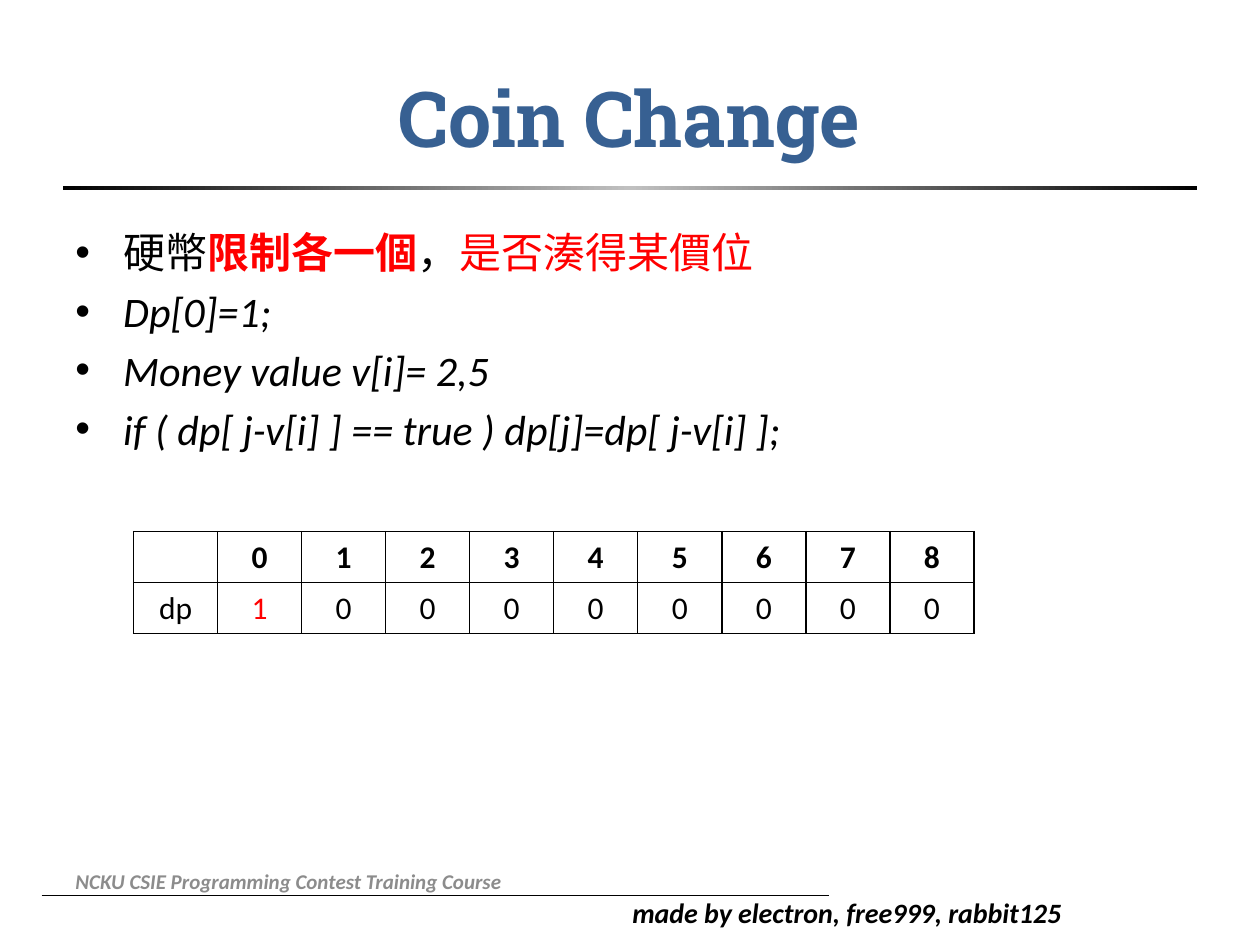
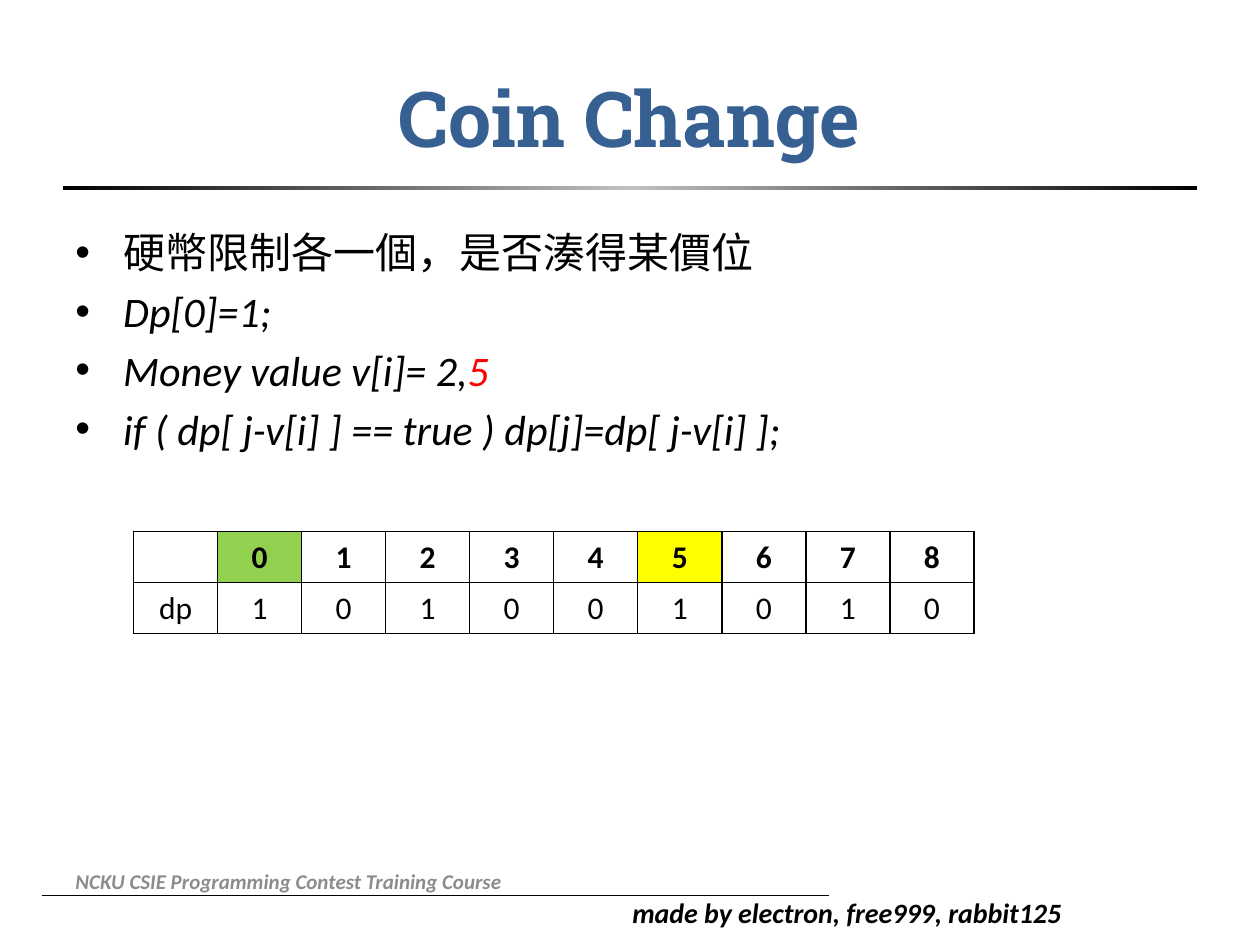
from copy import deepcopy

from lxml import etree
from pptx import Presentation
from pptx.dml.color import RGBColor
from pptx.enum import shapes, text
from pptx.oxml import ns
from pptx.util import Inches, Pt

COLORS = {
    "black": "000000",
    "silver": "C0C0C0",
    "title": "376092",
    "footer": "8C8C8C",
    "red": "FF0000",
    "green": "92D050",
    "yellow": "FFFF00",
}
BODY_FONT = "Calibri"
TITLE_FONT = "Roboto Slab"
COLUMNS = 10
CELL_WIDTH = 0.667
ROW_HEIGHT = 0.405


def rgb(name):
    return RGBColor.from_string(COLORS[name])


def style(font, size, color="black", bold=False, italic=False, name=BODY_FONT):
    font.name = name
    font.size = Pt(size)
    font.bold = bold
    font.italic = italic
    font.color.rgb = rgb(color)


def add_text_box(slide, left, top, width, height, anchor=text.MSO_ANCHOR.TOP):
    box = slide.shapes.add_textbox(Inches(left), Inches(top), Inches(width), Inches(height))
    box.text_frame.word_wrap = True
    box.text_frame.vertical_anchor = anchor
    return box.text_frame


def add_label(slide, place, words, anchor=text.MSO_ANCHOR.TOP, align=None, **font):
    paragraph = add_text_box(slide, *place, anchor=anchor).paragraphs[0]
    paragraph.text = words
    paragraph.alignment = align
    style(paragraph.font, **font)


def add_footer_line(slide):
    line = slide.shapes.add_connector(
        shapes.MSO_CONNECTOR.STRAIGHT, Inches(0.33), Inches(7.11), Inches(6.58), Inches(7.11))
    line.line.color.rgb = rgb("black")
    line.line.width = Pt(0.5)
    etree.SubElement(line._element.spPr, ns.qn("a:effectLst"))


def add_title_rule(slide):
    rule = slide.shapes.add_shape(
        shapes.MSO_SHAPE.RECTANGLE, Inches(0.5), Inches(1.48), Inches(9), Inches(0.03))
    rule.shadow.inherit = False
    rule.line.fill.background()
    rule.fill.gradient()
    rule.fill.gradient_angle = 0
    stop_list = rule._element.spPr.find(".//" + ns.qn("a:gsLst"))
    stop_list.append(deepcopy(stop_list[0]))
    for stop, position, color in zip(
            rule.fill.gradient_stops, (0, 0.5, 1), ("black", "silver", "black")):
        stop.position = position
        stop.color.rgb = rgb(color)


def add_frame(slide):
    add_footer_line(slide)
    add_label(slide, (4.92, 7.06, 3.86, 0.37), "made by electron, free999, rabbit125",
              size=16, bold=True, italic=True)
    add_title_rule(slide)
    add_label(slide, (0.5, 0.3, 9, 1.25), "Coin Change", text.MSO_ANCHOR.MIDDLE,
              text.PP_ALIGN.CENTER, size=44, color="title", bold=True, name=TITLE_FONT)
    add_label(slide, (0.5, 6.79, 5.05, 0.4), "NCKU CSIE Programming Contest Training Course",
              text.MSO_ANCHOR.MIDDLE, size=12, color="footer", bold=True, italic=True)


def add_bullet(paragraph):
    properties = paragraph._p.get_or_add_pPr()
    properties.set("marL", str(Inches(0.38)))
    properties.set("indent", str(Inches(-0.38)))
    etree.SubElement(properties, ns.qn("a:buFont"), typeface="Arial")
    etree.SubElement(properties, ns.qn("a:buChar"), char="•")


def add_bullets(slide, rule, money):
    frame = add_text_box(slide, 0.5, 1.75, 9, 4.95)
    lines = [rule, [("Dp[0]=1;",)], money,
             [("if ( dp[ j-v[i] ] == true ) dp[j]=dp[ j-v[i] ];",)]]
    for index, pieces in enumerate(lines):
        paragraph = frame.paragraphs[0] if index == 0 else frame.add_paragraph()
        add_bullet(paragraph)
        if index:
            paragraph.space_before = Pt(4.8)
        style(paragraph.font, 24, italic=index > 0)
        for words, *emphasis in pieces:
            run = paragraph.add_run()
            run.text = words
            if "red" in emphasis:
                run.font.color.rgb = rgb("red")
            if "bold" in emphasis:
                run.font.bold = True


def add_borders(cell):
    properties = cell._tc.get_or_add_tcPr()
    for side in ("lnL", "lnR", "lnT", "lnB"):
        border = etree.SubElement(properties, ns.qn("a:" + side), w=str(Pt(1)))
        fill = etree.SubElement(border, ns.qn("a:solidFill"))
        etree.SubElement(fill, ns.qn("a:srgbClr"), val=COLORS["black"])


def add_dp_table(slide, values, header_fills, red_values):
    table = slide.shapes.add_table(
        2, COLUMNS, Inches(1.06), Inches(4.22),
        Inches(CELL_WIDTH * COLUMNS), Inches(ROW_HEIGHT * 2)).table
    table.first_row = False
    table.horz_banding = False
    rows = [["", *range(COLUMNS - 1)], ["dp", *values]]
    for row_index, row in enumerate(rows):
        table.rows[row_index].height = Inches(ROW_HEIGHT)
        for column_index, value in enumerate(row):
            table.columns[column_index].width = Inches(CELL_WIDTH)
            cell = table.cell(row_index, column_index)
            add_borders(cell)
            header = row_index == 0
            coin = column_index - 1
            if header and coin in header_fills:
                cell.fill.solid()
                cell.fill.fore_color.rgb = rgb(header_fills[coin])
            else:
                cell.fill.background()
            paragraph = cell.text_frame.paragraphs[0]
            paragraph.text = str(value)
            paragraph.alignment = text.PP_ALIGN.CENTER
            color = "red" if not header and coin in red_values else "black"
            style(paragraph.font, 18, color, bold=header)


def add_coin_slide(presentation, rule, money, values, header_fills=(), red_values=()):
    slide = presentation.slides.add_slide(presentation.slide_layouts[6])
    add_frame(slide)
    add_bullets(slide, rule, money)
    add_dp_table(slide, values, header_fills, red_values)


def main():
    presentation = Presentation()
    presentation.slide_width = Inches(10)
    presentation.slide_height = Inches(7.5)
    add_coin_slide(
        presentation,
        rule=[("硬幣",), ("限制各一個", "red", "bold"), ("，",), ("是否湊得某價位", "red")],
        money=[("Money value v[i]= 2,5",)],
        values=[1, 0, 0, 0, 0, 0, 0, 0, 0],
        red_values=[0])
    add_coin_slide(
        presentation,
        rule=[("硬幣限制各一個，是否湊得某價位",)],
        money=[("Money value v[i]= 2,",), ("5", "red")],
        values=[1, 0, 1, 0, 0, 1, 0, 1, 0],
        header_fills={0: "green", 5: "yellow"})
    presentation.save("out.pptx")


if __name__ == "__main__":
    main()
